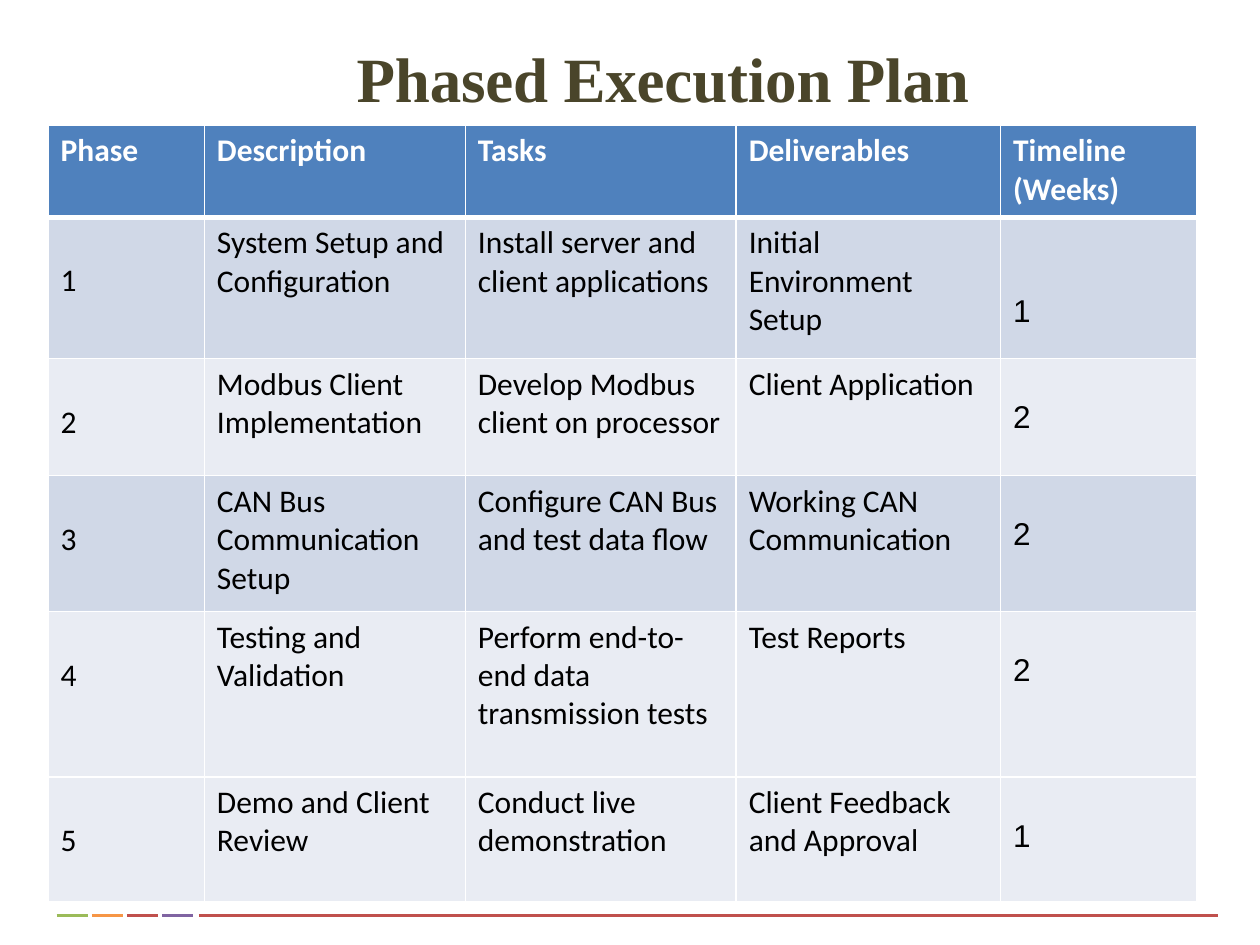
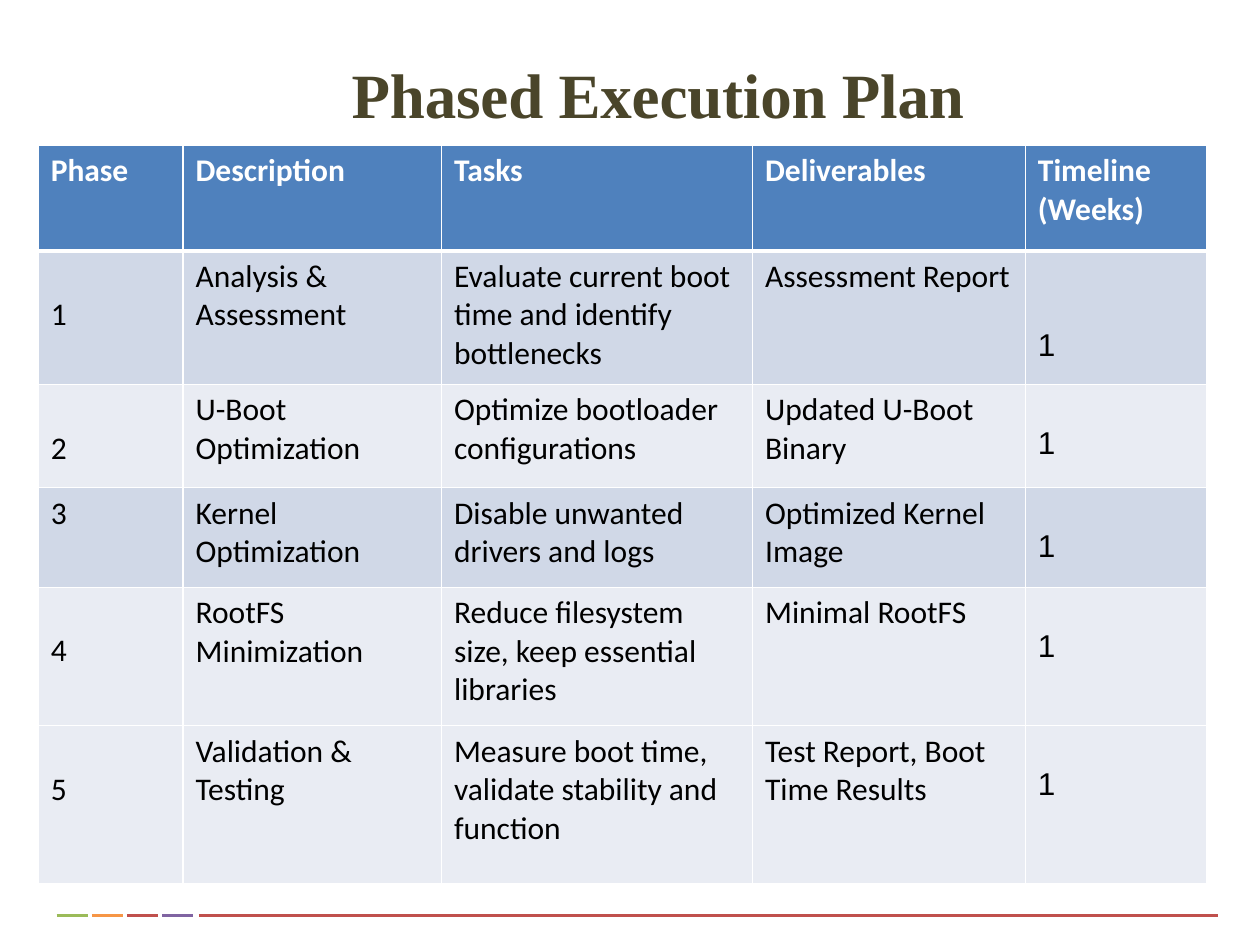
from lxml import etree
from pptx import Presentation
from pptx.dml.color import RGBColor
from pptx.enum import shapes, text
from pptx.oxml import ns
from pptx.util import Cm, Pt

WHITE = RGBColor(0xFF, 0xFF, 0xFF)
BLACK = RGBColor(0x00, 0x00, 0x00)
OLIVE = RGBColor(0x4A, 0x45, 0x2A)
BLUE = RGBColor(0x4F, 0x81, 0xBD)
DARK_BAND = RGBColor(0xD0, 0xD8, 0xE7)
LIGHT_BAND = RGBColor(0xE9, 0xEC, 0xF3)
RED = RGBColor(0xC0, 0x50, 0x4D)
GREEN = RGBColor(0x9B, 0xBB, 0x59)
ORANGE = RGBColor(0xF6, 0x96, 0x46)
PURPLE = RGBColor(0x80, 0x64, 0xA2)

PLAN_TITLE = "Phased Execution Plan"
HEADINGS = ["Phase", "Description", "Tasks", "Deliverables", "Timeline (Weeks)"]
BANDS = [DARK_BAND, LIGHT_BAND, DARK_BAND, LIGHT_BAND, LIGHT_BAND]
TIMELINE_DROPS = [2, 1, 1, 1, 1]
CELL_MARGIN = 0.13
LINE_HEIGHT = {"Calibri": 0.77, "Arial": 0.71}
THIN, THICK = 0.96, 3

GATEWAY_PHASES = [
    ["1", "System Setup and Configuration", "Install server and client applications",
     "Initial Environment Setup", "1"],
    ["2", "Modbus Client Implementation", "Develop Modbus client on processor",
     "Client Application", "2"],
    ["3", "CAN Bus Communication Setup", "Configure CAN Bus and test data flow",
     "Working CAN Communication", "2"],
    ["4", "Testing and Validation", "Perform end-to-end data transmission tests",
     "Test Reports", "2"],
    ["5", "Demo and Client Review", "Conduct live demonstration",
     "Client Feedback and Approval", "1"],
]
BOOT_PHASES = [
    ["1", "Analysis & Assessment", "Evaluate current boot time and identify bottlenecks",
     "Assessment Report", "1"],
    ["2", "U-Boot Optimization", "Optimize bootloader configurations",
     "Updated U-Boot Binary", "1"],
    ["3", "Kernel Optimization", "Disable unwanted drivers and logs",
     "Optimized Kernel Image", "1"],
    ["4", "RootFS Minimization", "Reduce filesystem size, keep essential libraries",
     "Minimal RootFS", "1"],
    ["5", "Validation & Testing", "Measure boot time, validate stability and function",
     "Test Report, Boot Time Results", "1"],
]


def write(frame, wording, font="Calibri", size=18, color=BLACK, bold=False,
          align=text.PP_ALIGN.LEFT, spacing=None):
    paragraph = frame.paragraphs[0]
    paragraph.alignment = align
    run = paragraph.add_run()
    run.text = wording
    run.font.name = font
    run.font.size = Pt(size)
    run.font.bold = bold
    run.font.color.rgb = color
    if spacing is not None:
        run.font._element.set("spc", str(round(spacing * 100)))


def add_rule(slide, left, width, color):
    y = Cm(18.46)
    rule = slide.shapes.add_connector(
        shapes.MSO_CONNECTOR.STRAIGHT, Cm(left), y, Cm(left + width), y)
    rule.line.color.rgb = color
    rule.line.width = Pt(2)
    etree.SubElement(rule.element.spPr, ns.qn("a:effectLst"))
    return rule


def add_footer_rules(layout, slide):
    rules = [add_rule(slide, 4.01, 20.55, RED)]
    for i, color in enumerate([GREEN, ORANGE, RED, PURPLE]):
        rules.append(add_rule(slide, 1.14 + 0.71 * i, 0.63, color))
    for number, rule in enumerate(rules, start=20):
        rule.element.nvCxnSpPr.cNvPr.set("id", str(number))
        layout.element.cSld.spTree.append(rule.element)


def set_title(slide, left, top):
    title = slide.shapes.title
    title.left, title.top, title.width, title.height = Cm(left), Cm(top), Cm(21.54), Cm(1.52)
    frame = title.text_frame
    frame.margin_left = frame.margin_right = frame.margin_top = frame.margin_bottom = 0
    frame.vertical_anchor = text.MSO_ANCHOR.TOP
    frame.auto_size = text.MSO_AUTO_SIZE.NONE
    frame.word_wrap = True
    write(frame, PLAN_TITLE, font="Times New Roman", size=36, color=OLIVE, bold=True,
          align=text.PP_ALIGN.CENTER, spacing=-0.1)


def set_borders(cell, top=THIN, bottom=THIN):
    properties = cell._tc.get_or_add_tcPr()
    widths = {"a:lnL": THIN, "a:lnR": THIN, "a:lnT": top, "a:lnB": bottom}
    for i, (side, width) in enumerate(widths.items()):
        border = etree.Element(ns.qn(side), w=str(Pt(width)))
        fill = etree.SubElement(border, ns.qn("a:solidFill"))
        etree.SubElement(fill, ns.qn("a:srgbClr"), val=str(WHITE))
        properties.insert(i, border)


def fill_cell(cell, wording, fill, drop=0, top=THIN, bottom=THIN, **style):
    cell.fill.solid()
    cell.fill.fore_color.rgb = fill
    cell.margin_top = Cm(CELL_MARGIN + drop * LINE_HEIGHT[style.get("font", "Calibri")])
    write(cell.text_frame, wording, **style)
    set_borders(cell, top, bottom)


def add_plan(slide, left, top, widths, heights, phases, phase_drops):
    plan = slide.shapes.add_table(
        len(heights), len(widths), Cm(left), Cm(top), Cm(sum(widths)), Cm(sum(heights))).table
    for column, width in zip(plan.columns, widths):
        column.width = Cm(width)
    for row, height in zip(plan.rows, heights):
        row.height = Cm(height)
    for col, heading in enumerate(HEADINGS):
        fill_cell(plan.cell(0, col), heading, BLUE, bottom=THICK, color=WHITE, bold=True)
    for i, (phase, band) in enumerate(zip(phases, BANDS)):
        drops = [phase_drops[i], 0, 0, 0, TIMELINE_DROPS[i]]
        for col, (wording, drop) in enumerate(zip(phase, drops)):
            fill_cell(plan.cell(i + 1, col), wording, band, drop=drop,
                      top=THIN if i else THICK,
                      font="Arial" if col == len(HEADINGS) - 1 else "Calibri")


def main():
    deck = Presentation()
    deck.slide_width, deck.slide_height = Cm(25.4), Cm(19.05)
    layout = deck.slide_layouts.get_by_name("Title Only")

    gateway = deck.slides.add_slide(layout)
    add_footer_rules(layout, gateway)
    set_title(gateway, 2.59, 0.79)
    add_plan(gateway, 0.97, 2.53, [3.15, 5.26, 5.46, 5.33, 3.96],
             [1.85, 2.85, 2.36, 2.74, 3.33, 2.51], GATEWAY_PHASES, [1, 1, 1, 1, 1])

    boot = deck.slides.add_slide(layout)
    set_title(boot, 2.49, 1.12)
    add_plan(boot, 0.77, 2.93, [2.92, 5.21, 6.27, 5.5, 3.66],
             [2.13, 2.69, 2.08, 2.01, 2.79, 3.18], BOOT_PHASES, [1, 1, 0, 1, 1])

    deck.save("out.pptx")


if __name__ == "__main__":
    main()
